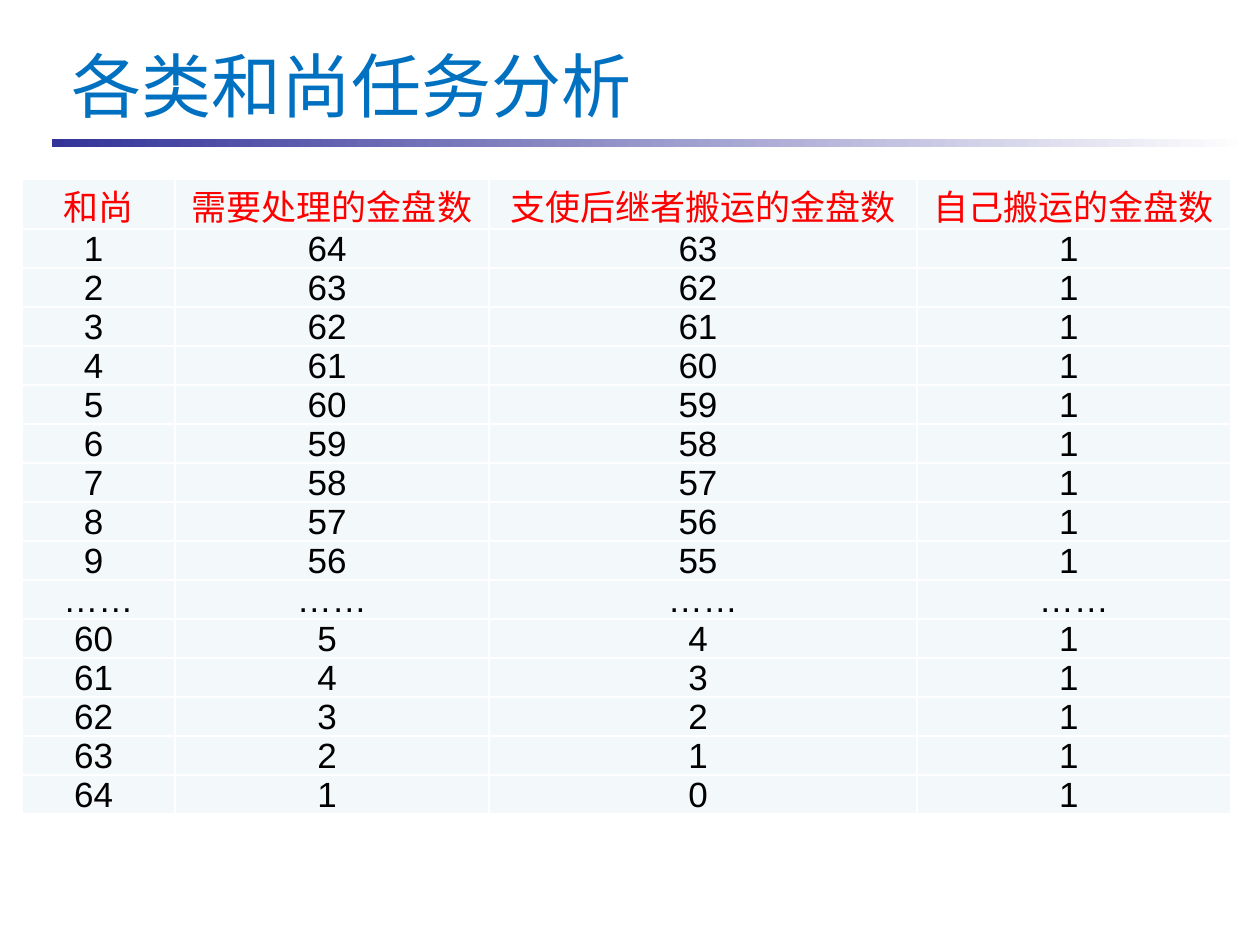
from lxml import etree
from pptx import Presentation
from pptx import util as u
from pptx.dml.color import RGBColor
from pptx.enum import shapes, text
from pptx.oxml import ns

SCALE = 914400 / 126
HEADERS = ["和尚", "需要处理的金盘数", "支使后继者搬运的金盘数", "自己搬运的金盘数"]
COLUMN_WIDTHS = [153, 314, 428, 314]
HEADER_HEIGHT, ROW_HEIGHT = 50, 39


def px(n):
    return u.Emu(round(n * SCALE))


def color(value):
    return RGBColor.from_string(value)


def format_paragraph(p, font, size, hue):
    for r in p.runs:
        r.font.name = font
        r.font.size = u.Pt(size)
        r.font.color.rgb = color(hue)


def add_heading(s, left, top, width, height):
    title = s.shapes.title
    title.left, title.top = px(left), px(top)
    title.width, title.height = px(width), px(height)
    tf = title.text_frame
    tf.text = "各类和尚任务分析"
    tf.vertical_anchor = text.MSO_ANCHOR.MIDDLE
    tf.auto_size = text.MSO_AUTO_SIZE.NONE
    p = tf.paragraphs[0]
    p.alignment = text.PP_ALIGN.LEFT
    format_paragraph(p, "Times New Roman", 40, "0070C0")


def add_rule(s, left, top, width, height):
    bar = s.shapes.add_shape(
        shapes.MSO_SHAPE.RECTANGLE, px(left), px(top), px(width), px(height)
    )
    bar.shadow.inherit = False
    bar.line.fill.background()
    bar.fill.gradient()
    bar.fill.gradient_angle = 0
    for stop, hue in zip(bar.fill.gradient_stops, ("333399", "FFFFFF")):
        stop.color.rgb = color(hue)


def add_borders(cell, hue, points):
    tc_pr = cell._tc.get_or_add_tcPr()
    for side in ("a:lnL", "a:lnR", "a:lnT", "a:lnB"):
        ln = etree.SubElement(tc_pr, ns.qn(side), w=str(u.Pt(points)))
        fill = etree.SubElement(ln, ns.qn("a:solidFill"))
        etree.SubElement(fill, ns.qn("a:srgbClr"), val=hue)


def fill_cell(cell, value, hue):
    add_borders(cell, "FFFFFF", 1)
    cell.fill.solid()
    cell.fill.fore_color.rgb = color("F3F9FA")
    cell.margin_left = cell.margin_right = cell.margin_bottom = 0
    cell.margin_top = px(7)
    cell.vertical_anchor = text.MSO_ANCHOR.BOTTOM
    cell.text_frame.text = value
    p = cell.text_frame.paragraphs[0]
    p.alignment = text.PP_ALIGN.CENTER
    p.line_spacing = 0.8
    format_paragraph(p, "Arial", 20, hue)


def monk_row(monk):
    return [f"{n} " for n in (monk, 65 - monk, 64 - monk, 1)]


def add_task_table(s, left, top):
    rows = [HEADERS]
    rows += [monk_row(n) for n in range(1, 10)]
    rows += [["……"] * len(HEADERS)]
    rows += [monk_row(n) for n in range(60, 65)]
    heights = [HEADER_HEIGHT] + [ROW_HEIGHT] * (len(rows) - 1)
    table = s.shapes.add_table(
        len(rows), len(HEADERS), px(left), px(top),
        px(sum(COLUMN_WIDTHS)), px(sum(heights)),
    ).table
    table.first_row = table.horz_banding = False
    for column, width in zip(table.columns, COLUMN_WIDTHS):
        column.width = px(width)
    for i, (values, height) in enumerate(zip(rows, heights)):
        table.rows[i].height = px(height)
        for j, value in enumerate(values):
            fill_cell(table.cell(i, j), value, "000000" if i else "FF0000")


def main():
    prs = Presentation()
    prs.slide_width, prs.slide_height = px(1260), px(945)
    s = prs.slides.add_slide(prs.slide_layouts[5])
    add_rule(s, 52, 139, 1198, 8)
    add_heading(s, 59, 42, 1176, 84)
    add_task_table(s, 22, 179)
    prs.save("out.pptx")


if __name__ == "__main__":
    main()
